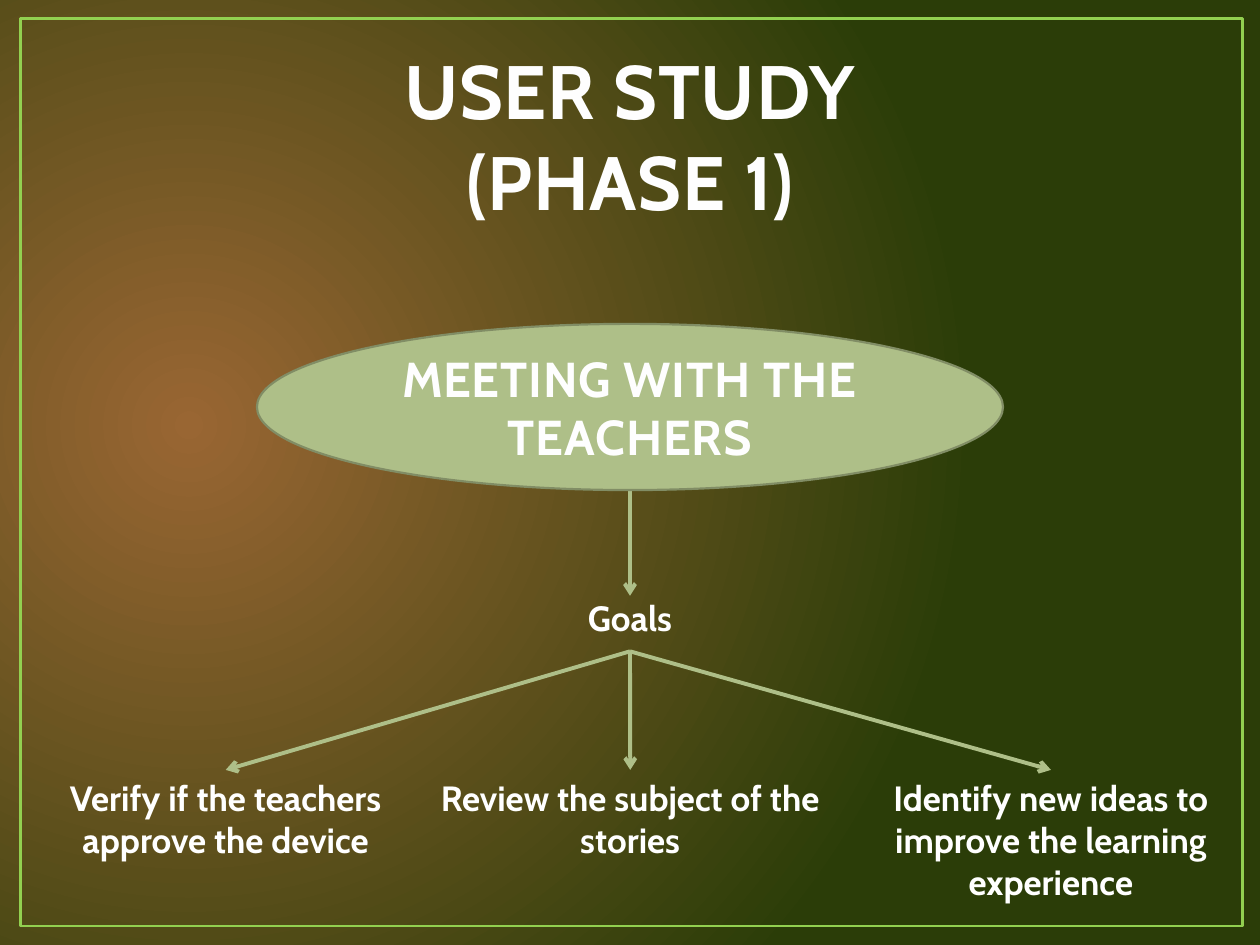
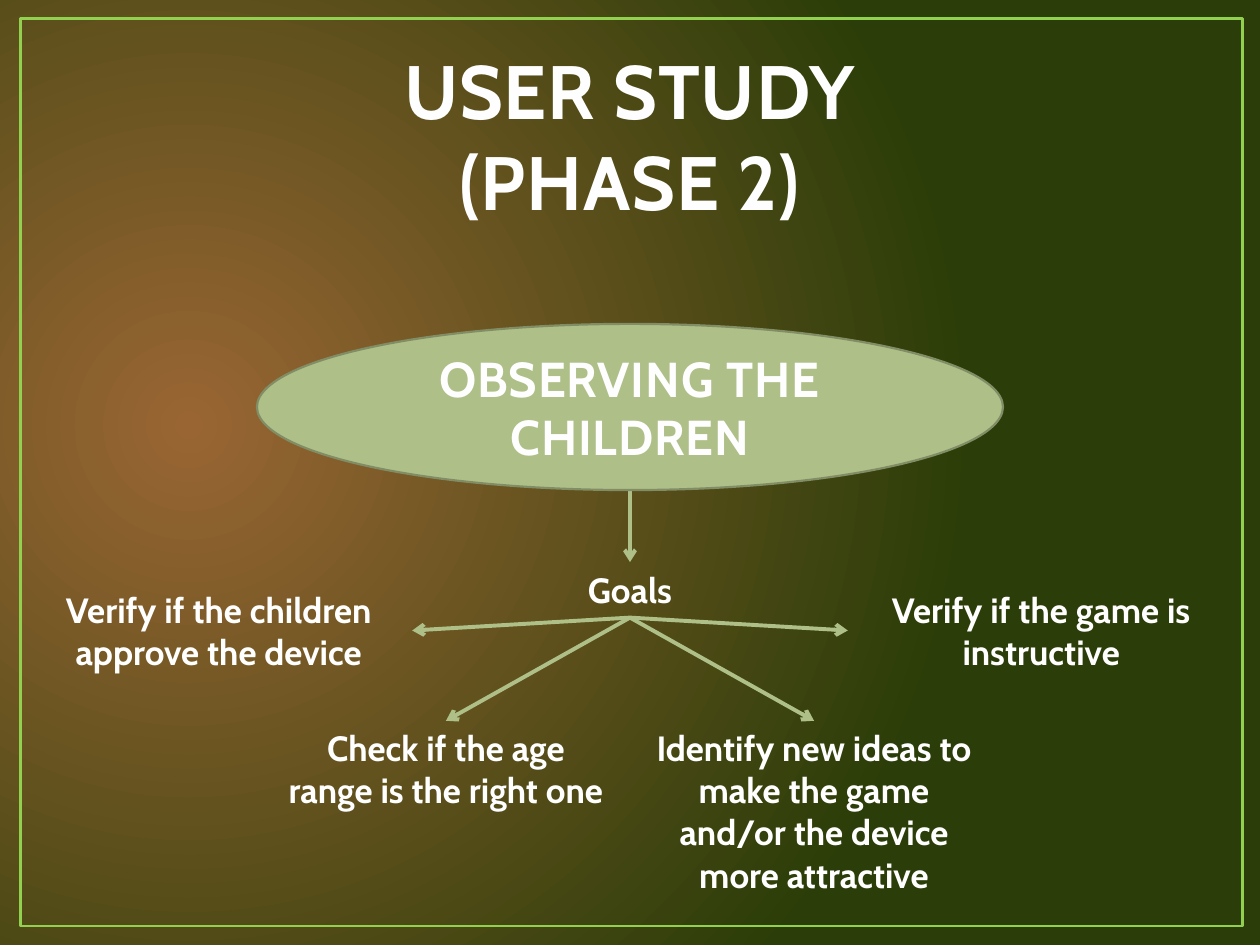
"""Build the two user study slides."""
from lxml import etree
from pptx import Presentation
from pptx.dml.color import RGBColor
from pptx.enum.shapes import MSO_CONNECTOR, MSO_SHAPE
from pptx.enum.text import MSO_ANCHOR, MSO_AUTO_SIZE, PP_ALIGN
from pptx.oxml.ns import qn
from pptx.util import Cm, Pt

RECTANGLE, ELLIPSE = MSO_SHAPE.RECTANGLE, MSO_SHAPE.OVAL
STRAIGHT = MSO_CONNECTOR.STRAIGHT
BOTTOM, MIDDLE = MSO_ANCHOR.BOTTOM, MSO_ANCHOR.MIDDLE
CENTER = PP_ALIGN.CENTER
GROW = MSO_AUTO_SIZE.SHAPE_TO_FIT_TEXT

FONT = "Cabin"
GLOW, FOREST = "996633", "2B3D08"
FRAME_GREEN, SAGE, SAGE_EDGE = "92D050", "AEBF88", "818D65"
WHITE, HEADING_WHITE, HEADING_EDGE = "FFFFFF", "FEFEFE", "5B6A39"

SLIDE_WIDTH, SLIDE_HEIGHT = 25.4, 19.05
CENTRE = SLIDE_WIDTH / 2
FRAME_BOX = (0.41, 0.38, 24.64, 18.29)
TITLE_BOX = (1.27, 0.76, 22.86, 3.91)
ACTIVITY_BOX = (5.18, 6.53, 15.04, 3.35)
ACTIVITY_BOTTOM = 9.88
GOALS_WIDTH, GOALS_HEIGHT = 6.68, 1.12

PHASES = [
    {
        "title": "USER STUDY\v(PHASE 1)",
        "activity": "MEETING WITH THE TEACHERS",
        "arrow_end": 12.01,
        "goals_top": 11.91,
        "fan_top": 13.13,
        "goals": [
            ("Verify if the teachers approve the device", (0.69, 15.52, 7.72, 1.96), "top"),
            ("Review the subject of the stories", (8.41, 15.52, 8.59, 1.96), "top"),
            ("Identify new ideas to improve the learning experience",
             (16.89, 15.52, 8.59, 2.82), "top"),
        ],
    },
    {
        "title": "USER STUDY\v(PHASE 2)",
        "activity": "OBSERVING THE CHILDREN",
        "arrow_end": 11.33,
        "goals_top": 11.33,
        "fan_top": 12.45,
        "goals": [
            ("Verify if the children approve the device", (0.51, 11.73, 7.8, 1.96), "right"),
            ("Check if the age range is the right one", (5.56, 14.53, 6.86, 1.96), "top"),
            ("Identify new ideas to make the game and/or the device more attractive",
             (12.98, 14.53, 6.86, 3.68), "top"),
            ("Verify if the game is instructive", (17.09, 11.73, 7.8, 1.96), "left"),
        ],
    },
]


def color(value):
    """Return the colour for a hex string."""
    return RGBColor.from_string(value)


def lengths(values):
    """Turn centimetre numbers into lengths."""
    return [Cm(value) for value in values]


def set_background(master):
    """Give the master a circular gradient that glows at the left."""
    fill = master.background.fill
    fill.gradient()
    for stop, value in zip(fill.gradient_stops, (GLOW, FOREST)):
        stop.color.rgb = color(value)
    gradient = master.element.find(".//" + qn("a:gradFill"))
    gradient.remove(gradient.find(qn("a:lin")))
    circle = etree.SubElement(gradient, qn("a:path"), path="circle")
    etree.SubElement(circle, qn("a:fillToRect"), l="15000", t="50000", r="85000", b="60000")


def write_text(shape, text, size, text_color):
    """Write centred bold text into a shape and return its runs."""
    frame = shape.text_frame
    frame.word_wrap = True
    frame.text = text
    paragraph = frame.paragraphs[0]
    paragraph.alignment = CENTER
    for run in paragraph.runs:
        run.font.name = FONT
        run.font.size = Pt(size)
        run.font.bold = True
        run.font.color.rgb = color(text_color)
    return paragraph.runs


def write_heading(shape, text, size, anchor):
    """Write spaced, outlined heading text into a shape."""
    shape.text_frame.vertical_anchor = anchor
    for run in write_text(shape, text, size, HEADING_WHITE):
        properties = run.font._element if hasattr(run.font, "_element") else run._r.get_or_add_rPr()
        properties.set("spc", "50")
        outline = etree.Element(qn("a:ln"), w=str(Pt(1.05)))
        fill = etree.SubElement(outline, qn("a:solidFill"))
        etree.SubElement(fill, qn("a:srgbClr"), val=HEADING_EDGE)
        properties.insert(0, outline)


def add_outlined_shape(slide, kind, box, line_color, line_width, fill_color=None):
    """Add a preset shape with a line and an optional fill."""
    shape = slide.shapes.add_shape(kind, *lengths(box))
    shape.shadow.inherit = False
    shape.line.color.rgb = color(line_color)
    shape.line.width = Pt(line_width)
    if fill_color:
        shape.fill.solid()
        shape.fill.fore_color.rgb = color(fill_color)
    else:
        shape.fill.background()
    return shape


def add_label(slide, text, box):
    """Add a text box that grows with its text."""
    label = slide.shapes.add_textbox(*lengths(box))
    write_text(label, text, 20, WHITE)
    label.text_frame.auto_size = GROW


def add_arrow(slide, start, end):
    """Add a straight arrow between two points."""
    arrow = slide.shapes.add_connector(STRAIGHT, *lengths(start + end))
    arrow.line.color.rgb = color(SAGE)
    arrow.line.width = Pt(2.25)
    etree.SubElement(arrow.line._get_or_add_ln(), qn("a:tailEnd"), type="arrow")
    etree.SubElement(arrow.element.spPr, qn("a:effectLst"))


def edge_point(box, side):
    """Return the middle of one side of a box."""
    left, top, width, height = box
    return {
        "top": (left + width / 2, top),
        "left": (left, top + height / 2),
        "right": (left + width, top + height / 2),
    }[side]


def add_phase_slide(presentation, phase):
    """Add the slide of one study phase with its goals."""
    slide = presentation.slides.add_slide(presentation.slide_layouts[6])
    add_outlined_shape(slide, RECTANGLE, FRAME_BOX, FRAME_GREEN, 1.5)
    title = slide.shapes.add_textbox(*lengths(TITLE_BOX))
    write_heading(title, phase["title"], 43.2, BOTTOM)
    add_arrow(slide, (CENTRE, ACTIVITY_BOTTOM), (CENTRE, phase["arrow_end"]))
    activity = add_outlined_shape(slide, ELLIPSE, ACTIVITY_BOX, SAGE_EDGE, 1.25, SAGE)
    write_heading(activity, phase["activity"], 28, MIDDLE)
    goals_left = CENTRE - GOALS_WIDTH / 2
    add_label(slide, "Goals", (goals_left, phase["goals_top"], GOALS_WIDTH, GOALS_HEIGHT))
    for text, box, side in phase["goals"]:
        add_label(slide, text, box)
        add_arrow(slide, (CENTRE, phase["fan_top"]), edge_point(box, side))


def main():
    """Build and save the presentation."""
    presentation = Presentation()
    presentation.slide_width = Cm(SLIDE_WIDTH)
    presentation.slide_height = Cm(SLIDE_HEIGHT)
    set_background(presentation.slide_master)
    for phase in PHASES:
        add_phase_slide(presentation, phase)
    presentation.save("out.pptx")


if __name__ == "__main__":
    main()
